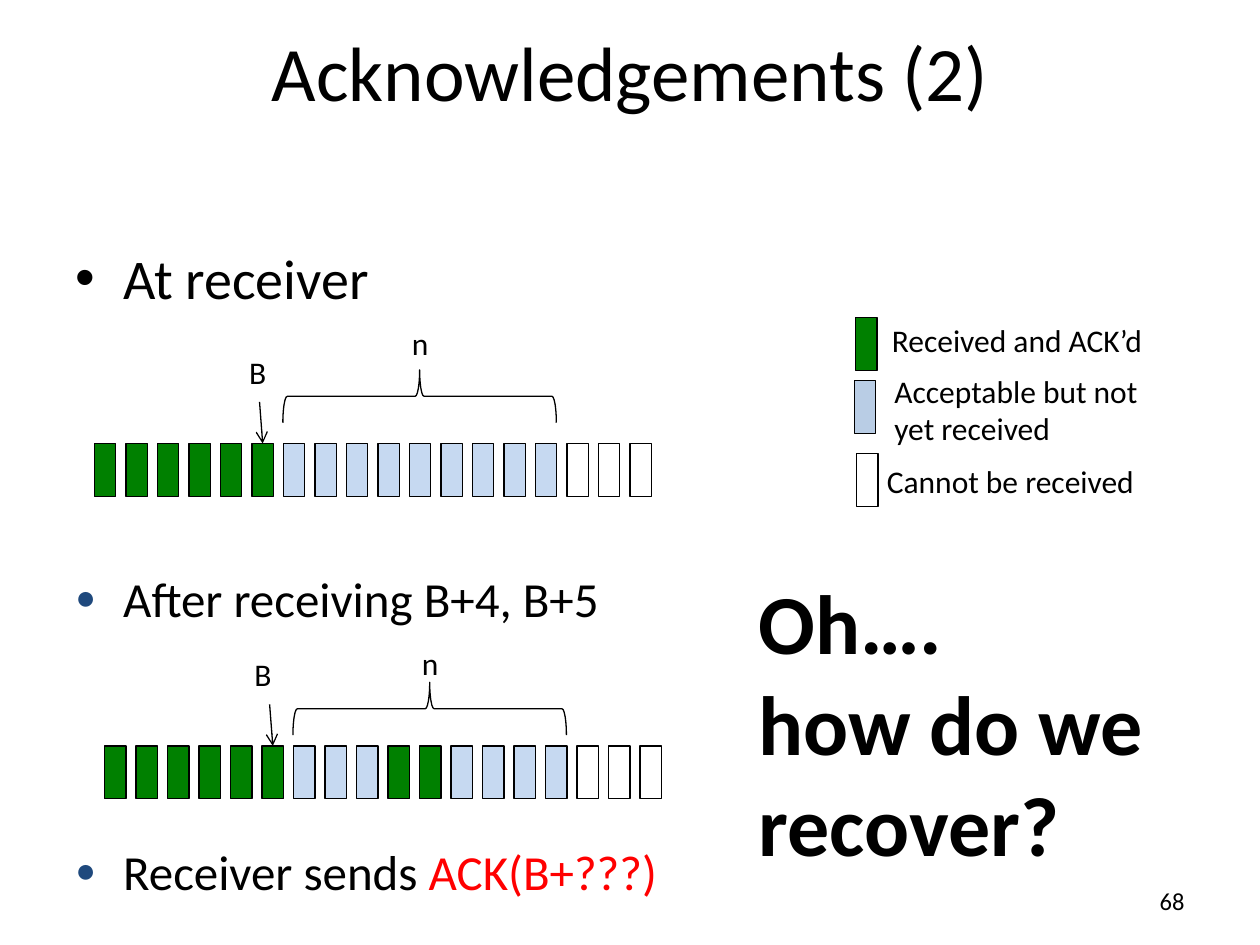
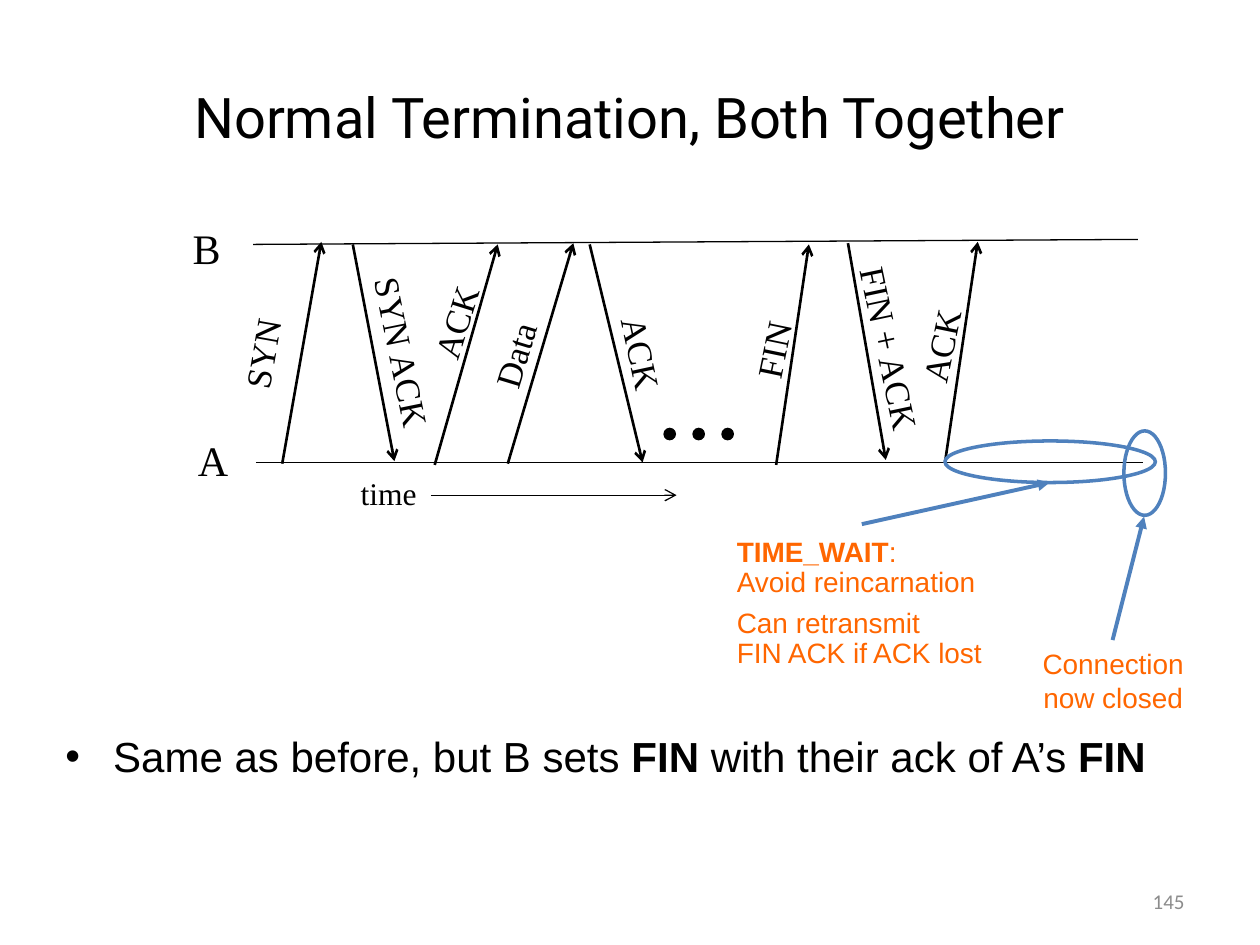
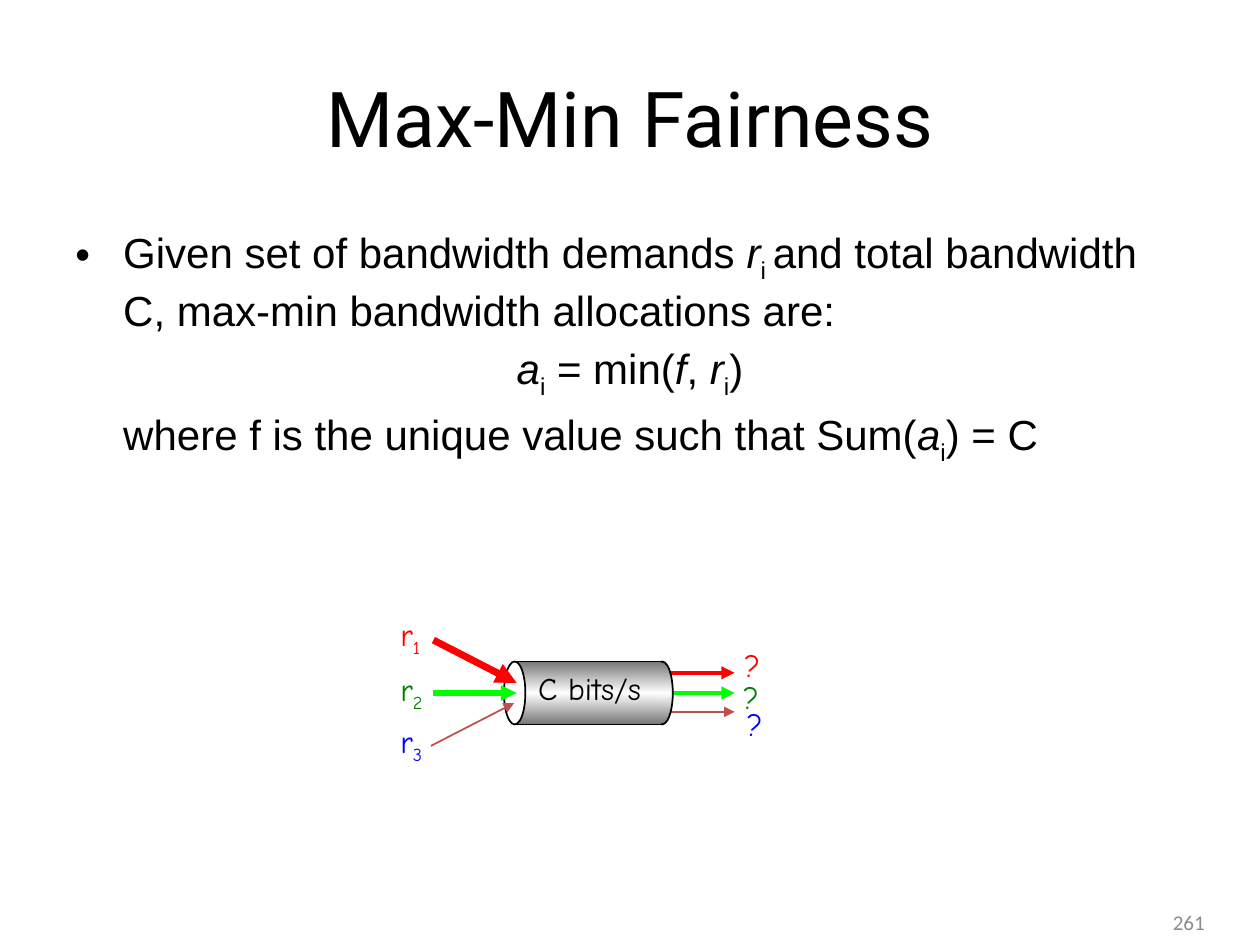
from lxml import etree
from pptx import Presentation
from pptx.dml.color import RGBColor
from pptx.enum.shapes import MSO_CONNECTOR, MSO_SHAPE
from pptx.enum.text import MSO_ANCHOR, MSO_AUTO_SIZE, PP_ALIGN
from pptx.oxml.ns import qn
from pptx.util import Pt

PX = 9144  # EMU per px, 100 px to the inch
RECT, OVAL, BRACE = MSO_SHAPE.RECTANGLE, MSO_SHAPE.OVAL, MSO_SHAPE.LEFT_BRACE
STRAIGHT = MSO_CONNECTOR.STRAIGHT
LEFT, MID, RIGHT = PP_ALIGN.LEFT, PP_ALIGN.CENTER, PP_ALIGN.RIGHT
TOP, MIDDLE = MSO_ANCHOR.TOP, MSO_ANCHOR.MIDDLE
GROW = MSO_AUTO_SIZE.SHAPE_TO_FIT_TEXT

INK = {
    "black": "000000", "white": "FFFFFF", "green": "008000", "sky": "C6D9F1",
    "mist": "B9CDE5", "navy": "1F497D", "red": "FF0000", "blue": "4F81BD",
    "orange": "FF6600", "gray": "8C8C8C", "pure": "0000FF", "lime": "00FF00",
    "brick": "C0504D", "steel": "767676",
}
SANS, HEAD, BODY = "Calibri", "Roboto", "Arial"
SERIF, COMIC = "Times New Roman", "Comic Neue"
INDENT = 38


def rgb(name):
    return RGBColor.from_string(INK[name])


def sub(parent, tag, **attrs):
    return etree.SubElement(parent, qn(tag), attrs)


class Deck:
    def __init__(self):
        self.prs = Presentation()
        self.prs.slide_width, self.prs.slide_height = 1000 * PX, 750 * PX
        self.slide = None

    def page(self, title, size, face, at=(50, 30, 900, 125)):
        self.slide = self.prs.slides.add_slide(self.prs.slide_layouts[6])
        self.label(*at, title, size, face, align=MID, anchor=MIDDLE, wrap=True)

    def number(self, num, x=717, y=695, size=12, ink="gray"):
        self.label(x, y, 233, 40, num, size, align=RIGHT, anchor=MIDDLE,
                   ink=ink, wrap=True)

    def box(self, x, y, w, h, anchor=TOP, wrap=True, turn=0):
        shape = self.slide.shapes.add_textbox(x * PX, y * PX, w * PX, h * PX)
        shape.rotation = turn
        frame = shape.text_frame
        frame.word_wrap = wrap
        frame.vertical_anchor = anchor
        if not wrap:
            frame.auto_size = GROW
        return frame

    def para(self, frame, runs, size, face=SANS, ink="black", align=LEFT,
             before=0, lead=None, bullet=None, left=0, first=0):
        """Runs are strings or (text, marks, ink); marks: b, i, s for subscript."""
        par = frame.paragraphs[0]
        if par.runs:
            par = frame.add_paragraph()
            par.space_before = Pt(before)
        par.alignment = align
        if lead:
            par.line_spacing = lead
        props = par._p.get_or_add_pPr()
        if bullet:
            left, first = INDENT, -INDENT
        props.set("marL", str(left * PX))
        props.set("indent", str(first * PX))
        if bullet:
            sign, tint, scale = bullet
            sub(sub(props, "a:buClr"), "a:srgbClr", val=INK[tint])
            sub(props, "a:buSzPct", val=str(scale * 1000))
            sub(props, "a:buFont", typeface=BODY)
            sub(props, "a:buChar", char=sign)
        for item in runs:
            text, marks, tint = item if isinstance(item, tuple) else (item, "", ink)
            for i, part in enumerate(text.split("\n")):
                if i:
                    par.add_line_break()
                run = par.add_run()
                run.text = part
                font = run.font
                font.name, font.size = face, Pt(size)
                font.bold, font.italic = "b" in marks, "i" in marks
                font.color.rgb = rgb(tint or ink)
                if "s" in marks:
                    run._r.get_or_add_rPr().set("baseline", "-25000")

    def label(self, x, y, w, h, text, size, face=SANS, ink="black", align=LEFT,
              anchor=TOP, wrap=False, turn=0):
        runs = [text] if isinstance(text, str) else text
        self.para(self.box(x, y, w, h, anchor, wrap, turn), runs, size, face,
                  ink, align)

    def point(self, x, y, w, h, runs, size, face=SANS, bullet=("•", "black", 100)):
        frame = self.box(x, y, w, h)
        self.para(frame, runs, size, face, bullet=bullet)
        return frame

    def shape(self, kind, x, y, w, h, fill=None, line="black", width=0.75, turn=0):
        form = self.slide.shapes.add_shape(kind, x * PX, y * PX, w * PX, h * PX)
        form.shadow.inherit = False
        form.rotation = turn
        if fill:
            form.fill.solid()
            form.fill.fore_color.rgb = rgb(fill)
        else:
            form.fill.background()
        if line:
            form.line.color.rgb = rgb(line)
            form.line.width = Pt(width)
        else:
            form.line.fill.background()
        return form

    def metal(self, form):
        """Fill a form with a dark, light, dark gradient from top to bottom."""
        form.fill.gradient()
        form.fill.gradient_angle = 270
        stops = form._element.spPr.find(".//" + qn("a:gsLst"))
        for old in list(stops):
            stops.remove(old)
        for pos, ink in ((0, "steel"), (50000, "white"), (100000, "steel")):
            stop = sub(stops, "a:gs", pos=str(pos))
            sub(stop, "a:srgbClr", val=INK[ink])

    def line(self, x1, y1, x2, y2, ink="black", width=0.75, tip=None):
        link = self.slide.shapes.add_connector(
            STRAIGHT, x1 * PX, y1 * PX, x2 * PX, y2 * PX)
        link.line.color.rgb = rgb(ink)
        link.line.width = Pt(width)
        props = link._element.spPr
        if tip:
            sub(props.find(qn("a:ln")), "a:tailEnd", type=tip)
        sub(props, "a:effectLst")
        return link

    def cell(self, x, y, fill):
        return self.shape(RECT, x, y, 17, 42, fill)

    def window(self, x, y, fills, brace, n_top, b_left):
        """Row of packets with its brace, n and the arrow at packet B."""
        cells = [self.cell(x + 25 * i, y, f) for i, f in enumerate(fills)]
        self.shape(BRACE, x + 237, brace, 42, 217, turn=90)
        self.label(x + 242, n_top, 33, 40, "n", 18)
        self.label(b_left, y - 77, 34, 40, "B", 18)
        arrow = self.line(x + 131, y - 33, x + 133, y, tip="arrow")
        arrow.end_connect(cells[5], 0)


def acks(deck):
    deck.page("Acknowledgements (2)", 44, SANS, (42, -8, 917, 128))
    deck.point(50, 188, 900, 62, ["At receiver"], 32)
    done, free, shut = ["green"], ["sky"], ["white"]
    deck.window(75, 352, done * 6 + free * 9 + shut * 3, 206, 252, 188)

    # Legend
    for x, y, fill, left, top, w, h, text in (
        (679, 252, "green", 698, 250, 221, 40, "Received and ACK’d"),
        (678, 302, "mist", 700, 290, 215, 71, "Acceptable but not\nyet received"),
        (680, 360, "white", 694, 362, 218, 40, "Cannot be received"),
    ):
        deck.cell(x, y, fill)
        deck.label(left, top, w, h, text, 18)

    # After two more packets
    dot = ("●", "navy", 70)
    deck.point(50, 446, 900, 62, ["After receiving B+4, B+5"], 28, bullet=dot)
    deck.window(83, 592, done * 6 + free * 3 + done * 2 + free * 4 + shut * 3,
                454, 506, 192)
    deck.point(50, 663, 900, 62, ["Receiver sends ", ("ACK(B+???)", "", "red")],
               28, bullet=dot)
    deck.number("68", size=14, ink="black")
    frame = deck.box(592, 448, 344, 252)
    for text in ("Oh….", "how do we recover?"):
        deck.para(frame, [(text, "b", None)], 48)


def finish(deck):
    deck.page("Normal Termination, Both Together", 32, HEAD)
    deck.point(42, 575, 925, 75, [
        "Same as before, but B sets ", ("FIN", "b", None),
        " with their ack of A’s ", ("FIN", "b", None)], 24, BODY)

    # Messages: arrow ends, then word, place, width and turn
    for *ends, word, x, y, w, turn in (
        (224, 368, 255, 192, "SYN", 170, 259, 76, 280.1),
        (280, 194, 313, 366, "SYN ACK", 249, 258, 141, 78.5),
        (345, 369, 395, 194, "ACK", 322, 234, 79, 287.4),
        (403, 368, 455, 193, "Data", 372, 260, 73, 286.7),
        (468, 194, 510, 367, "ACK", 470, 259, 79, 77.9),
        (616, 369, 642, 194, "FIN", 581, 256, 65, 281.6),
        (673, 193, 703, 365, "FIN + ACK", 630, 255, 153, 78.1),
        (750, 367, 776, 192, "ACK", 707, 253, 79, 281.6),
    ):
        deck.line(*ends, width=1.5, tip="arrow")
        deck.label(x, y, w, 43, word, 20, SERIF, align=MID, anchor=MIDDLE, turn=turn)

    # Time lines of both hosts
    deck.line(201, 194, 903, 190)
    deck.line(203, 367, 907, 367)
    deck.line(342, 393, 537, 393, tip="arrow")
    for x, y, w, h, text, size in (
        (276, 371, 65, 40, "time", 18),
        (147, 340, 44, 50, "A", 24),
        (143, 172, 42, 50, "B", 24),
    ):
        deck.label(x, y, w, h, text, size, SERIF, align=MID, anchor=MIDDLE)
    for i in range(3):
        deck.shape(OVAL, 527 + 23 * i, 340, 9, 9, "black")

    # Call-outs
    for ends, oval in (
        ((883, 508, 908, 410), (892, 342, 33, 67)),
        ((684, 416, 833, 383), (750, 350, 167, 33)),
    ):
        deck.line(*ends, "blue", 2.25, "triangle")
        deck.shape(OVAL, *oval, line="blue", width=2)
    deck.label(817, 508, 133, 64, "Connection\nnow closed", 16, BODY, "orange",
               MID, MIDDLE)
    frame = deck.box(575, 416, 217, 124, MIDDLE, False)
    for runs, lead in (
        ([("TIME_WAIT", "b", None), ":"], None),
        (["Avoid reincarnation"], 0.4),
        (["Can retransmit\nFIN ACK if ACK lost"], 0.9),
    ):
        deck.para(frame, runs, 16, BODY, "orange", before=8, lead=lead)
    deck.number("145")


def fair(deck):
    deck.page("Max-Min Fairness", 44, HEAD)
    low = ("i", "s", None)
    rate, share = ("r", "i", None), ("a", "i", None)
    frame = deck.point(50, 175, 900, 495, [
        "Given set of bandwidth demands ", rate, ("i ", "s", None),
        "and total bandwidth C, max-min bandwidth allocations are:"], 24, BODY)
    deck.para(frame, [share, low, " = min(", ("f", "i", None), ", ", rate, low, ")"],
              24, BODY, align=MID, before=4.8, left=INDENT, first=-INDENT)
    deck.para(frame, ["where f is the unique value such that Sum(", share, low,
                      ") = C"], 24, BODY, before=4.8, left=INDENT)

    # Demands and results
    for num, y, ink in (("1", 483, "red"), ("2", 527, "green"), ("3", 568, "pure")):
        deck.label(308, y, 43, 40, ["r", (num, "s", ink)], 18, COMIC, ink)
    flows = [deck.line(525, y, 583, y, ink, width, "triangle") for y, ink, width in (
        (565, "brick", 1), (550, "lime", 2.5), (534, "red", 2.5))]
    for x, y, ink in ((580, 533, "green"), (581, 508, "red"), (583, 555, "pure")):
        deck.label(x, y, 34, 40, "?", 18, COMIC, ink)

    # Pipe
    deck.metal(deck.shape(OVAL, 517, 525, 17, 50, width=1))
    pipe = deck.shape(RECT, 408, 525, 117, 50, line=None)
    deck.metal(pipe)
    flows[1].begin_connect(pipe, 3)
    for y in (525, 575):
        deck.line(408, y, 525, y, width=1)
    deck.shape(OVAL, 400, 525, 17, 50, "white", width=1)
    for *ends, ink, width in (
        (344, 508, 410, 542, "red", 4),
        (344, 550, 410, 550, "lime", 3),
        (342, 592, 408, 558, "brick", 1),
    ):
        deck.line(*ends, ink, width, "triangle")
    deck.label(411, 526, 114, 40, "C bits/s", 18, COMIC, align=MID, anchor=MIDDLE)
    deck.number("261", 733, 712)


def main():
    deck = Deck()
    acks(deck)
    finish(deck)
    fair(deck)
    deck.prs.save("out.pptx")


if __name__ == "__main__":
    main()
